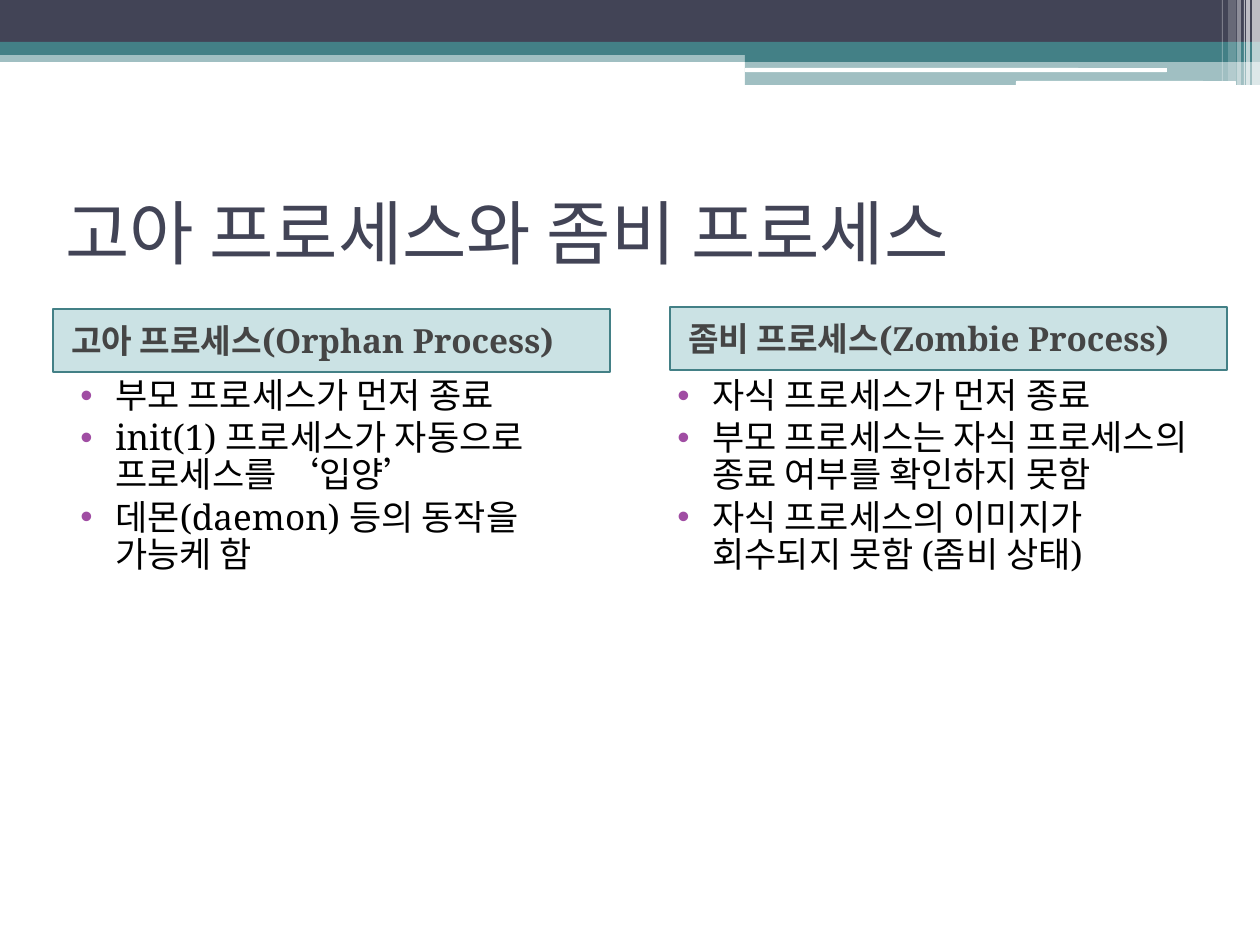
"""Build a slide comparing orphan and zombie processes."""
from typing import NamedTuple

from lxml import etree
from pptx import Presentation
from pptx.dml.color import RGBColor
from pptx.enum.shapes import MSO_SHAPE
from pptx.enum.text import MSO_ANCHOR, PP_ALIGN
from pptx.oxml.ns import qn
from pptx.util import Emu, Pt

RECT = MSO_SHAPE.RECTANGLE
ROUND = MSO_SHAPE.ROUNDED_RECTANGLE
TOP = MSO_ANCHOR.TOP
MIDDLE = MSO_ANCHOR.MIDDLE
LEFT = PP_ALIGN.LEFT

WHITE = RGBColor(0xFF, 0xFF, 0xFF)
BLACK = RGBColor(0, 0, 0)
NAVY = RGBColor(0x42, 0x44, 0x56)
TEAL = RGBColor(0x43, 0x80, 0x86)
AQUA = RGBColor(0x32, 0x8E, 0x97)
GRAY = RGBColor(0x45, 0x45, 0x45)
PLUM = RGBColor(0xA0, 0x4D, 0xA3)

SCALE = 914400 / 126


class Box(NamedTuple):
    x: int
    y: int
    w: int
    h: int


class Band(NamedTuple):
    box: Box
    color: RGBColor
    alpha: int = 100
    kind: int = RECT


class Style(NamedTuple):
    font: str
    size: int
    color: RGBColor
    bold: bool = False
    before: int = 0
    margin: int = 0
    indent: int = 0
    lines: float = 1.0
    bullet: bool = False


class Column(NamedTuple):
    head: Box
    body: Box
    title: str
    items: list[str]


TITLE = Style("Karla", 40, NAVY)
HEAD = Style("Noto Serif", 19, GRAY, True, 3, 6)
BODY = Style("Noto Serif", 20, BLACK, False, 3, 50, -35, 0.88, True)

BANDS = [
    Band(Box(0, 50, 1260, 12), TEAL, 50),
    Band(Box(0, 0, 1260, 43), NAVY),
    Band(Box(0, 42, 1260, 13), TEAL),
    Band(Box(745, 49, 515, 13), TEAL),
    Band(Box(745, 62, 515, 23), TEAL, 50),
    Band(Box(745, 68, 422, 4), WHITE, 100, ROUND),
    Band(Box(1016, 81, 220, 5), WHITE, 100, ROUND),
]
STRIPES = [
    (1252, 8, 85, 65), (1246, 4, 85, 65), (1244, 1, 85, 60),
    (1237, 4, 85, 40), (1228, 8, 81, 20), (1222, 1, 81, 30),
]
COLUMNS = [
    Column(Box(53, 309, 557, 63), Box(53, 373, 557, 536),
           "고아 프로세스(Orphan Process)",
           ["부모 프로세스가 먼저 종료",
            "init(1) 프로세스가 자동으로 프로세스를 ‘입양’",
            "데몬(daemon) 등의 동작을 가능케 함"]),
    Column(Box(670, 307, 557, 63), Box(650, 373, 557, 536),
           "좀비 프로세스(Zombie Process)",
           ["자식 프로세스가 먼저 종료",
            "부모 프로세스는 자식 프로세스의 종료 여부를 확인하지 못함",
            "자식 프로세스의 이미지가 회수되지 못함 (좀비 상태)"]),
]


def px(n: int) -> Emu:
    """Turn pixels into EMU."""
    return Emu(round(n * SCALE))


def place(box: Box) -> list[Emu]:
    """Give the four lengths of a box in EMU."""
    return [px(n) for n in box]


def draw(slide, band: Band):
    """Draw one filled shape without a line."""
    shape = slide.shapes.add_shape(band.kind, *place(band.box))
    shape.shadow.inherit = False
    shape.fill.solid()
    shape.fill.fore_color.rgb = band.color
    shape.line.fill.background()
    if band.alpha < 100:
        tint = shape.fill._xPr.find(".//" + qn("a:srgbClr"))
        etree.SubElement(tint, qn("a:alpha"), val=str(band.alpha * 1000))
    return shape


def write(shape, items: list[str], style: Style, anchor=MIDDLE) -> None:
    """Fill a shape with one paragraph per item."""
    frame = shape.text_frame
    frame.word_wrap = True
    frame.vertical_anchor = anchor
    for i, text in enumerate(items):
        para = frame.add_paragraph() if i else frame.paragraphs[0]
        para.alignment = LEFT
        para.space_before = Pt(style.before)
        para.line_spacing = style.lines
        props = para._p.get_or_add_pPr()
        props.set("marL", str(px(style.margin)))
        props.set("indent", str(px(style.indent)))
        if style.bullet:
            color = etree.SubElement(props, qn("a:buClr"))
            etree.SubElement(color, qn("a:srgbClr"), val=str(PLUM))
            etree.SubElement(props, qn("a:buFont"), typeface="Arial")
            etree.SubElement(props, qn("a:buChar"), char="•")
        run = para.add_run()
        run.text = text
        run.font.name = style.font
        run.font.size = Pt(style.size)
        run.font.bold = style.bold
        run.font.color.rgb = style.color


def label(slide, box: Box, items: list[str], style: Style, anchor) -> None:
    """Add a text box."""
    write(slide.shapes.add_textbox(*place(box)), items, style, anchor)


def build() -> None:
    """Draw the slide and save it."""
    deck = Presentation()
    deck.slide_width, deck.slide_height = px(1260), px(945)
    slide = deck.slides.add_slide(deck.slide_layouts[6])
    stripes = [Band(Box(x, 0, w, h), WHITE, a) for x, w, h, a in STRIPES]
    for band in BANDS + stripes:
        draw(slide, band)
    label(slide, Box(53, 158, 1155, 147), ["고아 프로세스와 좀비 프로세스"],
          TITLE, MIDDLE)
    for col in COLUMNS:
        head = draw(slide, Band(col.head, AQUA, 25))
        head.line.color.rgb = TEAL
        head.line.width = Pt(1)
        write(head, [col.title], HEAD)
        label(slide, col.body, col.items, BODY, TOP)
    deck.save("out.pptx")


build()
